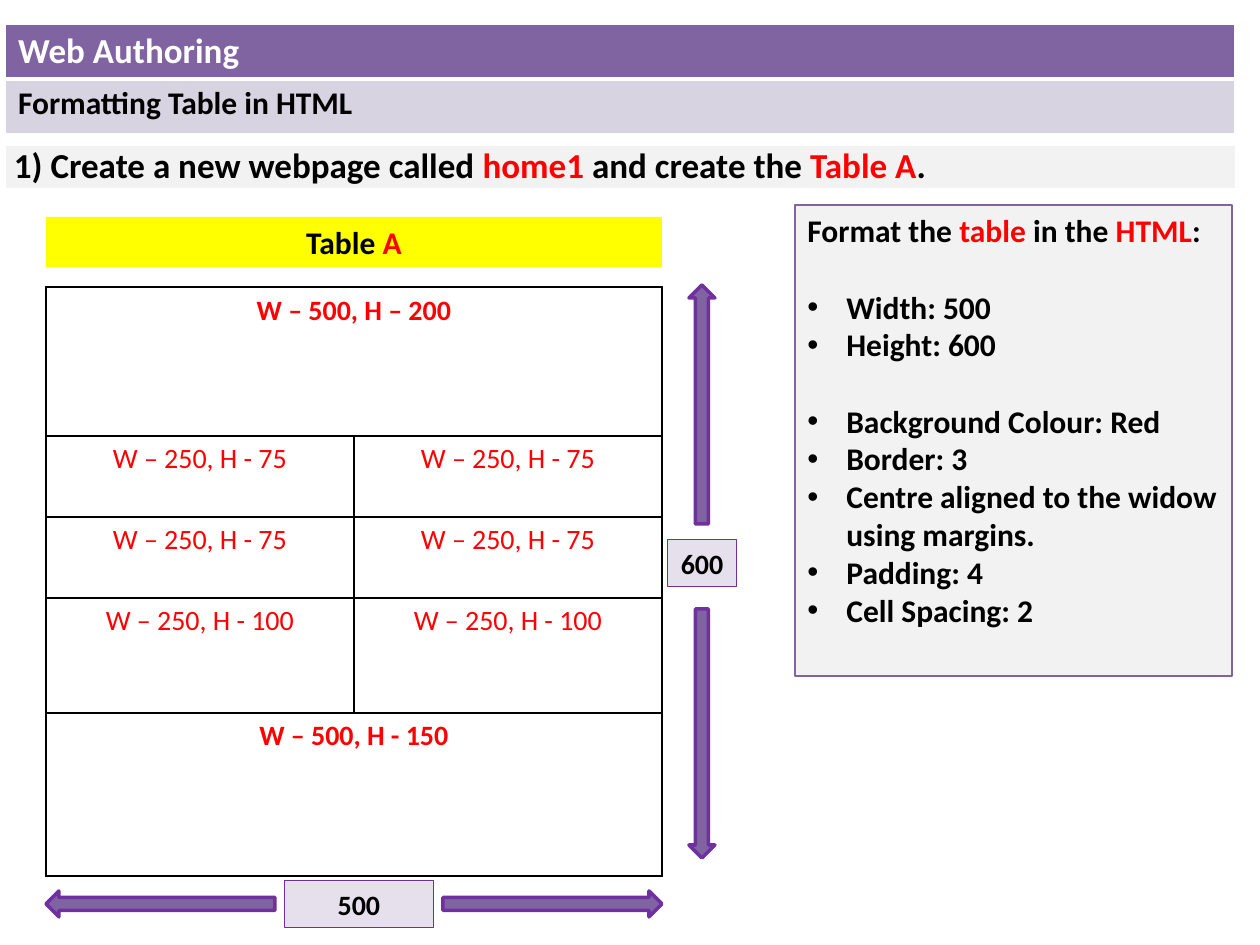
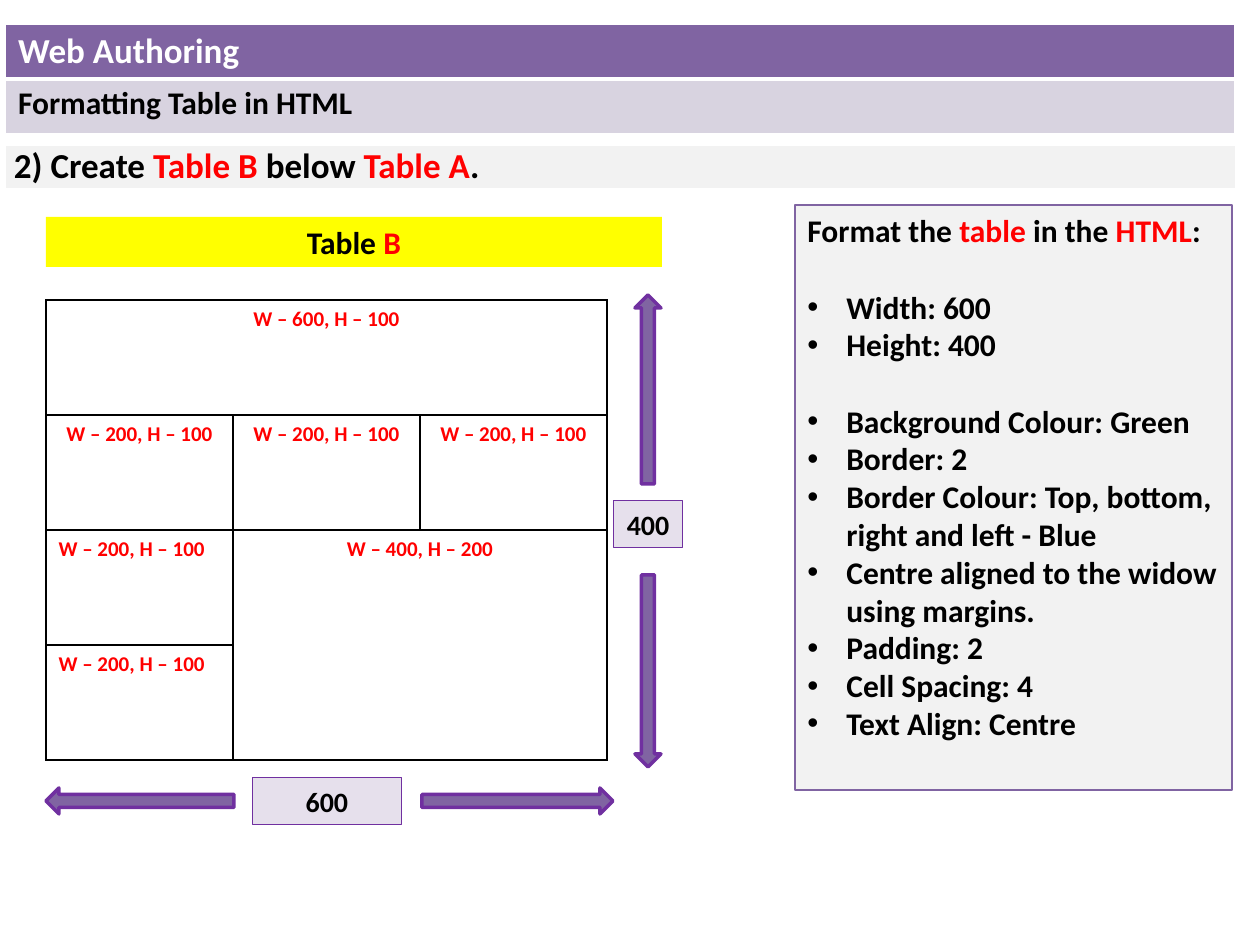
from lxml import etree
from pptx import Presentation
from pptx.dml.color import RGBColor
from pptx.enum.shapes import MSO_SHAPE
from pptx.enum.text import MSO_ANCHOR, PP_ALIGN
from pptx.oxml.ns import qn
from pptx.util import Emu, Pt

RECT = MSO_SHAPE.RECTANGLE
ACROSS_ARROWS = (MSO_SHAPE.LEFT_ARROW, MSO_SHAPE.RIGHT_ARROW)
DOWN_ARROWS = (MSO_SHAPE.UP_ARROW, MSO_SHAPE.DOWN_ARROW)
LEFT, CENTER = PP_ALIGN.LEFT, PP_ALIGN.CENTER
TOP, MIDDLE = MSO_ANCHOR.TOP, MSO_ANCHOR.MIDDLE

FONT = "Calibri"
BLACK, WHITE, RED, YELLOW = "000000", "FFFFFF", "FF0000", "FFFF00"
PURPLE, LILAC, PALE, VIOLET, GREY = "8064A2", "D8D3E0", "E6E0EC", "7030A0", "F2F2F2"

COURSE = "Web Authoring"
TOPIC = "Formatting Table in HTML"
SPEC_HEADING = [("Format the ", BLACK), ("table", RED), (" in the ", BLACK),
                ("HTML", RED), (":", BLACK)]
CENTRED = "Centre aligned to the widow using margins."

EXERCISES = [
    {
        "task": [("1) Create a new webpage called ", BLACK), ("home1", RED),
                 (" and create the ", BLACK), ("Table A", RED), (".", BLACK)],
        "letter": "A",
        "top": 287, "columns": [308, 308], "heights": [149, 81, 81, 115, 163],
        "cells": [["W – 500, H – 200"],
                  ["W – 250, H - 75"] * 2,
                  ["W – 250, H - 75"] * 2,
                  ["W – 250, H - 100"] * 2,
                  ["W – 500, H - 150"]],
        "merges": [(0, 0, 0, 1), (4, 0, 4, 1)],
        "size": 16, "plain_rows": (1, 2, 3), "left_rows": (),
        "across": ("500", 904, (46, 275), 359, (443, 662)),
        "down": ("600", 702, (285, 524), 563, (609, 858)),
        "spec_height": 471,
        "spec": [["Width: 500", "Height: 600"],
                 ["Background Colour: Red", "Border: 3", CENTRED,
                  "Padding: 4", "Cell Spacing: 2"]],
    },
    {
        "task": [("2) Create ", BLACK), ("Table B ", RED), ("below ", BLACK),
                 ("Table A", RED), (".", BLACK)],
        "letter": "B",
        "top": 300, "columns": [187] * 3, "heights": [115] * 4,
        "cells": [["W – 600, H – 100"],
                  ["W – 200, H – 100"] * 3,
                  ["W – 200, H – 100", "W – 400, H – 200"],
                  ["W – 200, H – 100"]],
        "merges": [(0, 0, 0, 2), (2, 1, 3, 2)],
        "size": 12, "plain_rows": (), "left_rows": (2, 3),
        "across": ("600", 801, (46, 234), 327, (422, 613)),
        "down": ("400", 648, (295, 484), 524, (575, 767)),
        "spec_height": 585,
        "spec": [["Width: 600", "Height: 400"],
                 ["Background Colour: Green", "Border: 2",
                  "Border Colour: Top, bottom, right and left - Blue", CENTRED,
                  "Padding: 2", "Cell Spacing: 4", "Text Align: Centre"]],
    },
]

GRID_LEFT, TITLE_WIDTH = 46, 616
ARROW_THICKNESS, LABEL_HEIGHT = 26, 47
ACROSS_LABEL_WIDTH, DOWN_LABEL_WIDTH = 149, 69
BULLET_INDENT, GROUP_GAP = 39, 22


def px(length):
    return Emu(round(length * 914400 / 126))


def rgb(color):
    return RGBColor.from_string(color)


def write(paragraph, runs, size, bold=True, align=LEFT):
    paragraph.alignment = align
    for text, color in runs:
        run = paragraph.add_run()
        run.text = text
        run.font.name = FONT
        run.font.size = Pt(size)
        run.font.bold = bold
        run.font.color.rgb = rgb(color)


def add_block(slide, kind, box, fill, line=None, weight=0.75):
    block = slide.shapes.add_shape(kind, *map(px, box))
    block.shadow.inherit = False
    block.fill.solid()
    block.fill.fore_color.rgb = rgb(fill)
    if line:
        block.line.color.rgb = rgb(line)
        block.line.width = Pt(weight)
    else:
        block.line.fill.background()
    return block


def add_label(slide, box, runs, size, fill, line=None):
    frame = add_block(slide, RECT, box, fill, line).text_frame
    frame.word_wrap = True
    frame.vertical_anchor = MIDDLE
    write(frame.paragraphs[0], runs, size, align=CENTER)


def set_borders(cell, color, bottom=1):
    properties = cell._tc.get_or_add_tcPr()
    for side, weight in zip("LRTB", (1, 1, 1, bottom)):
        edge = etree.SubElement(properties, qn(f"a:ln{side}"), w=str(Pt(weight)))
        solid = etree.SubElement(edge, qn("a:solidFill"))
        etree.SubElement(solid, qn("a:srgbClr"), val=color)


def add_grid(slide, left, top, columns, heights):
    frame = slide.shapes.add_table(len(heights), len(columns), px(left), px(top),
                                   px(sum(columns)), px(sum(heights)))
    grid = frame.table
    grid.first_row = grid.horz_banding = False
    for column, width in zip(grid.columns, columns):
        column.width = px(width)
    for row, height in zip(grid.rows, heights):
        row.height = px(height)
    return grid


def add_bands(slide, top, width, bands):
    grid = add_grid(slide, 5, top, [width], [band[0] for band in bands])
    for index, (_, fill, runs, size, side, edge) in enumerate(bands):
        cell = grid.cell(index, 0)
        cell.margin_left = cell.margin_right = px(side)
        cell.margin_top = cell.margin_bottom = px(edge)
        set_borders(cell, WHITE, 3 if index == 0 else 1)
        cell.fill.solid()
        cell.fill.fore_color.rgb = rgb(fill)
        write(cell.text_frame.paragraphs[0], runs, size)


def add_layout_grid(slide, exercise):
    grid = add_grid(slide, GRID_LEFT, exercise["top"], exercise["columns"], exercise["heights"])
    for cell in grid.iter_cells():
        set_borders(cell, BLACK)
        cell.fill.background()
    for top, left, bottom, right in exercise["merges"]:
        grid.cell(top, left).merge(grid.cell(bottom, right))
    for row, texts in enumerate(exercise["cells"]):
        for column, text in enumerate(texts):
            align = LEFT if row in exercise["left_rows"] and column == 0 else CENTER
            write(grid.cell(row, column).text_frame.paragraphs[0], [(text, RED)],
                  exercise["size"], row not in exercise["plain_rows"], align)


def add_dimension(slide, dimension, arrows, label_width, vertical):
    text, axis, before, middle, after = dimension
    for kind, (start, end) in zip(arrows, (before, after)):
        box = (start, axis - ARROW_THICKNESS / 2, end - start, ARROW_THICKNESS)
        if vertical:
            box = (box[1], box[0], box[3], box[2])
        add_block(slide, kind, box, PURPLE, VIOLET, 2)
    x, y = (axis, middle) if vertical else (middle, axis)
    add_label(slide, (x - label_width / 2, y - LABEL_HEIGHT / 2, label_width, LABEL_HEIGHT),
              [(text, BLACK)], 16, PALE, VIOLET)


def add_bullet(paragraph):
    properties = paragraph._p.get_or_add_pPr()
    properties.set("marL", str(px(BULLET_INDENT)))
    properties.set("indent", str(-px(BULLET_INDENT)))
    etree.SubElement(properties, qn("a:buFont"), typeface="Arial")
    etree.SubElement(properties, qn("a:buChar"), char="•")


def add_spec(slide, groups, height):
    frame = add_block(slide, RECT, (795, 205, 437, height), GREY, PURPLE).text_frame
    frame.word_wrap = True
    frame.vertical_anchor = TOP
    write(frame.paragraphs[0], SPEC_HEADING, 18)
    for group in groups:
        for index, rule in enumerate(group):
            paragraph = frame.add_paragraph()
            add_bullet(paragraph)
            if index == 0:
                paragraph.space_before = Pt(GROUP_GAP)
            write(paragraph, [(rule, BLACK)], 18)


def add_exercise(deck, exercise):
    slide = deck.slides.add_slide(deck.slide_layouts[6])
    add_bands(slide, 24, 1230, [(55, PURPLE, [(COURSE, WHITE)], 20, 13, 6),
                                (55, LILAC, [(TOPIC, BLACK)], 18, 13, 6)])
    add_bands(slide, 145, 1231, [(45, GREY, exercise["task"], 20, 9, 0)])
    add_label(slide, (GRID_LEFT, 217, TITLE_WIDTH, 50),
              [("Table ", BLACK), (exercise["letter"], RED)], 18, YELLOW)
    add_layout_grid(slide, exercise)
    add_dimension(slide, exercise["across"], ACROSS_ARROWS, ACROSS_LABEL_WIDTH, False)
    add_dimension(slide, exercise["down"], DOWN_ARROWS, DOWN_LABEL_WIDTH, True)
    add_spec(slide, exercise["spec"], exercise["spec_height"])


def main():
    deck = Presentation()
    deck.slide_width, deck.slide_height = px(1260), px(945)
    for exercise in EXERCISES:
        add_exercise(deck, exercise)
    deck.save("out.pptx")


if __name__ == "__main__":
    main()
